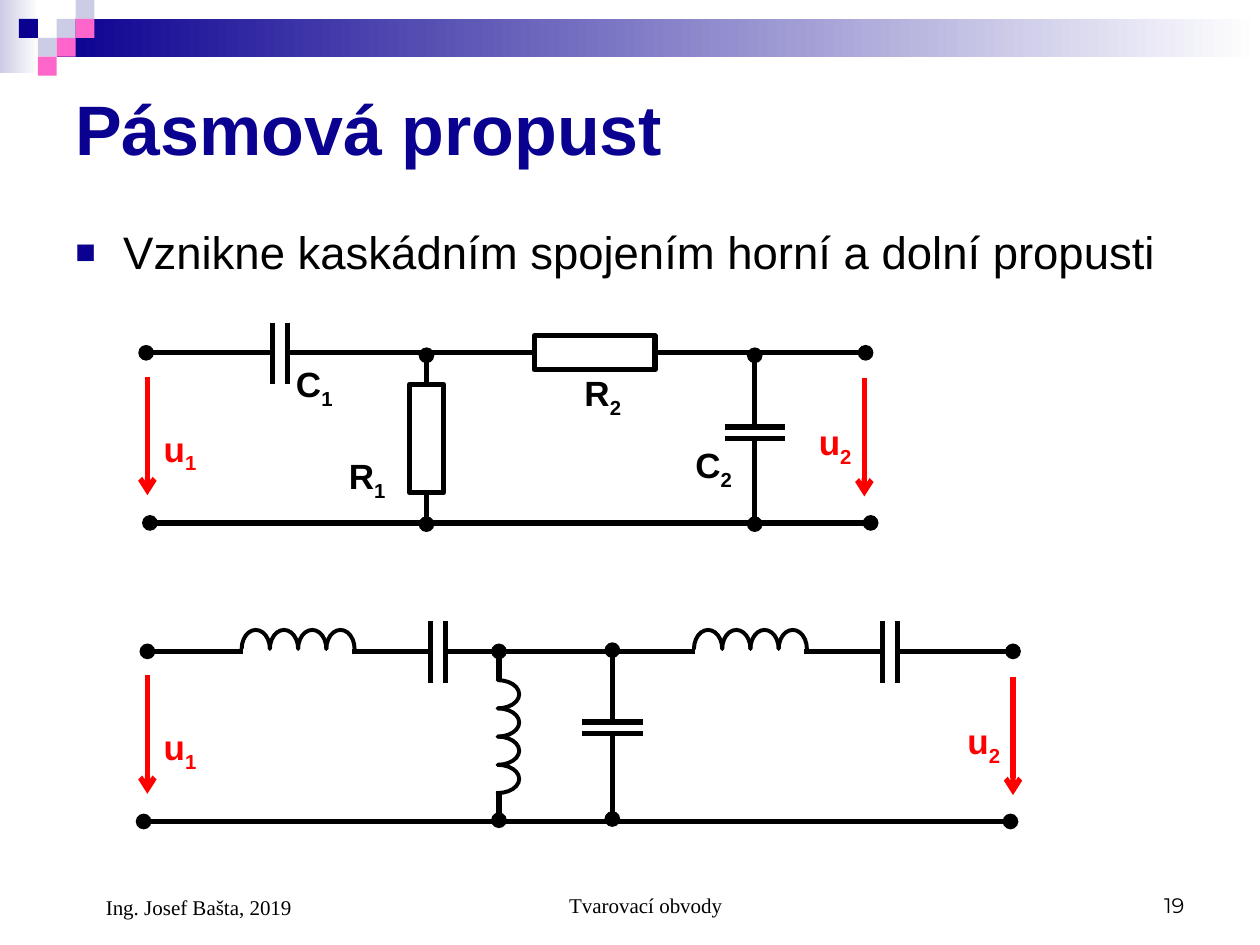
from dataclasses import dataclass
from typing import Any

from lxml import etree
from pptx import Presentation
from pptx import util as u
from pptx.dml.color import RGBColor
from pptx.enum import shapes, text
from pptx.oxml import ns

COLOURS = {"navy": "0B0191", "pale": "CCCCE6", "pink": "FF66CC",
           "white": "FFFFFF", "ink": "000000", "signal": "FF0000"}
COLUMNS, ROWS = 100, 75
CELL = u.Inches(10) // COLUMNS


def colour(name):
    return RGBColor.from_string(COLOURS[name])


def add_element(parent, tag, **attributes):
    return etree.SubElement(parent, ns.qn(tag), attributes)


@dataclass
class Area:
    """A box on the page, measured in grid cells."""
    page: Any
    left: float
    top: float
    width: float
    height: float

    def point(self, x, y):
        return round((self.left + x) * CELL), round((self.top + y) * CELL)

    def frame(self, x, y, width, height):
        return *self.point(x, y), round(width * CELL), round(height * CELL)

    def block(self, x, y, width, height, fill=None, line=None,
              kind=shapes.MSO_SHAPE.RECTANGLE):
        block = self.page.shapes.add_shape(kind, *self.frame(x, y, width, height))
        block.shadow.inherit = False
        if fill:
            block.fill.solid()
            block.fill.fore_color.rgb = colour(fill)
        else:
            block.fill.background()
        if line:
            block.line.color.rgb = colour("ink")
            block.line.width = u.Pt(line)
        else:
            block.line.fill.background()
        return block

    def fade(self, x, y, width, height, shade):
        """A bar that fades from the shade on the left to white."""
        bar = self.block(x, y, width, height)
        bar.fill.gradient()
        bar.fill.gradient_angle = 180
        for stop, name in zip(bar.fill.gradient_stops, ("white", shade)):
            stop.color.rgb = colour(name)
        bar.fill.gradient_stops[0].position = 0
        bar.fill.gradient_stops[1].position = 1

    def wire(self, start, end, head=None, tail=None, shade="ink"):
        wire = self.page.shapes.add_connector(
            shapes.MSO_CONNECTOR.STRAIGHT, *self.point(*start), *self.point(*end))
        wire.line.color.rgb = colour(shade)
        wire.line.width = u.Pt(3)
        outline = wire._element.spPr.find(ns.qn("a:ln"))
        for tag, style in (("a:headEnd", head), ("a:tailEnd", tail)):
            if style:
                add_element(outline, tag, type=style)
        add_element(wire._element.spPr, "a:effectLst")
        return wire

    def add_words(self, x, y, width, height, words, size, font="Arial", shade="ink",
                  bold=False, subscript="", bullet=False, indent=0,
                  align=text.PP_ALIGN.LEFT, anchor=text.MSO_ANCHOR.TOP):
        box = self.page.shapes.add_textbox(*self.frame(x, y, width, height))
        frame = box.text_frame
        frame.word_wrap = True
        frame.vertical_anchor = anchor
        frame.margin_left = round((1 + indent) * CELL)
        para = frame.paragraphs[0]
        para.alignment = align
        if bullet:
            add_square_bullet(para)
        para.font.name, para.font.size, para.font.bold = font, u.Pt(size), bold
        para.font.color.rgb = colour(shade)
        para.add_run().text = words
        if subscript:
            span = para.add_run()
            span.text = subscript
            span._r.get_or_add_rPr().set("baseline", "-25000")

    def label(self, x, y, letter, number, shade="ink"):
        self.add_words(x, y, 5.8, 4.8, letter, 20, shade=shade, bold=True,
                       subscript=number)


def add_square_bullet(para):
    properties = para._p.get_or_add_pPr()
    indent = u.Inches(0.38)
    properties.set("marL", str(indent))
    properties.set("indent", str(-indent))
    add_element(add_element(properties, "a:buClr"), "a:srgbClr", val=COLOURS["navy"])
    add_element(properties, "a:buSzPct", val="75000")
    add_element(properties, "a:buFont", typeface="Arial")
    add_element(properties, "a:buChar", char="■")


def draw_header(area):
    area.fade(0, 0, 3.1, 5.8, "pale")
    area.fade(4.5, 1.5, area.width - 4.5, 3, "navy")
    side = 1.5
    squares = {"pale": [(3, 1), (4, 0), (2, 2)], "navy": [(1, 1)],
               "pink": [(4, 1), (3, 2), (2, 3)]}
    for shade, places in squares.items():
        for column, row in places:
            area.block(column * side, row * side, side, side, fill=shade)


def draw_heading(area):
    area.add_words(0, 0, area.width, 10.3, "Pásmová propust", 40, shade="navy",
                   bold=True, anchor=text.MSO_ANCHOR.MIDDLE)
    area.add_words(0, 12.3, area.width, 7.5,
                   "Vznikne kaskádním spojením horní a dolní propusti", 26, bullet=True)


def draw_footer(area):
    bottom = text.MSO_ANCHOR.BOTTOM
    area.add_words(0, 0, 23.3, 5.2, "Ing. Josef Bašta, 2019", 12, "Times New Roman",
                   indent=2.4, anchor=bottom)
    area.add_words(29.2, 0, 31.7, 5, "Tvarovací obvody", 12, "Times New Roman",
                   indent=2.4, align=text.PP_ALIGN.CENTER, anchor=bottom)
    area.add_words(area.width - 23.3, 0, 23.3, 5, "19", 12, "Montserrat",
                   align=text.PP_ALIGN.RIGHT, anchor=bottom)


def draw_ports(area, rail_start, rail_end):
    """Input and output voltages and the common bottom rail."""
    for number, x, top, label_x, label_y in (("1", 0, 1.9, 0.3, 5.4),
                                             ("2", area.width, 2, -4.6, 4.9)):
        area.wire((x, top), (x, top + 9.4), tail="arrow", shade="signal")
        area.label(x + label_x, label_y, "u", number, "signal")
    area.wire((rail_start, area.height), (rail_end, area.height), "oval", "oval")


def draw_series_capacitor(area, x):
    for plate in (x - 0.6, x + 0.6):
        area.wire((plate, -2.4), (plate, 2.5))


def draw_shunt_capacitor(area, x, top):
    area.wire((x, top), (x, top + 5.5), head="oval")
    for plate in (top + 5.7, top + 6.6):
        area.wire((x - 2.4, plate), (x + 2.4, plate))
    area.wire((x, top + 6.7), (x, top + 13.4), tail="oval")


def draw_coil(area, x, y, height, upright=False):
    """Four half turns, the first one centred on x, y."""
    pitch = 2.24
    for turn in range(4):
        middle_x = x + (0 if upright else turn * pitch)
        middle_y = y + (turn * pitch if upright else 0)
        arc = area.block(middle_x - pitch / 2, middle_y - height / 2, pitch, height,
                         line=2.25, kind=shapes.MSO_SHAPE.BLOCK_ARC)
        for index, value in enumerate((107.89, 0.11, 0)):
            arc.adjustments[index] = value
        arc.rotation = 90 if upright else 0


def draw_series_branch(area, x):
    draw_coil(area, x + 1.1, -0.2, 3)
    area.wire((x + 8.7, 0), (x + 15, 0))
    draw_series_capacitor(area, x + 15.55)


def draw_rc_filter(area):
    draw_ports(area, 0.2, area.width + 0.5)
    area.wire((-0.1, 0), (9.8, 0), head="oval")
    draw_series_capacitor(area, 10.5)
    series = area.block(30.7, -1.35, 9.6, 2.7, line=3)
    area.wire((11.2, 0), (30.7, 0)).end_connect(series, 1)
    area.wire((57, 0), (40.3, 0), head="oval").end_connect(series, 3)
    shunt = area.block(20.8, 2.5, 2.7, 8.6, line=3)
    for node, end, side in ((0.2, 2.5, 0), (13.6, 11.1, 2)):
        area.wire((22.15, node), (22.15, end), head="oval").end_connect(shunt, side)
    draw_shunt_capacitor(area, 48.2, 0.2)
    for name, x, y in (("C1", 10.8, 0.3), ("R1", 15, 7.6),
                       ("R2", 33.7, 1), ("C2", 42.5, 6.7)):
        area.label(x, y, *name)


def draw_lc_filter(area):
    draw_ports(area, -0.3, area.width - 0.2)
    area.wire((0, 0), (7.6, 0), head="oval")
    draw_series_branch(area, 7.5)
    area.wire((23.7, 0), (43.5, 0))
    draw_series_branch(area, 43.4)
    area.wire((59.6, 0), (area.width, 0), tail="oval")
    area.wire((27.9, 0), (27.9, 2.3), head="oval")
    draw_coil(area, 27.8, 3.4, 3.4, upright=True)
    area.wire((27.9, 11.1), (27.9, 13.4), tail="oval")
    draw_shunt_capacitor(area, 36.9, -0.1)


def main():
    deck = Presentation()
    deck.slide_width, deck.slide_height = COLUMNS * CELL, ROWS * CELL
    page = deck.slides.add_slide(deck.slide_layouts[6])
    draw_header(Area(page, 0, 0, COLUMNS, 6))
    draw_heading(Area(page, 5, 5, 90, 19.8))
    draw_rc_filter(Area(page, 11.7, 28, 56.9, 13.5))
    draw_lc_filter(Area(page, 11.7, 51.7, 68.7, 13.5))
    draw_footer(Area(page, 5, 68.3, 90, 5.2))
    deck.save("out.pptx")


if __name__ == "__main__":
    main()
